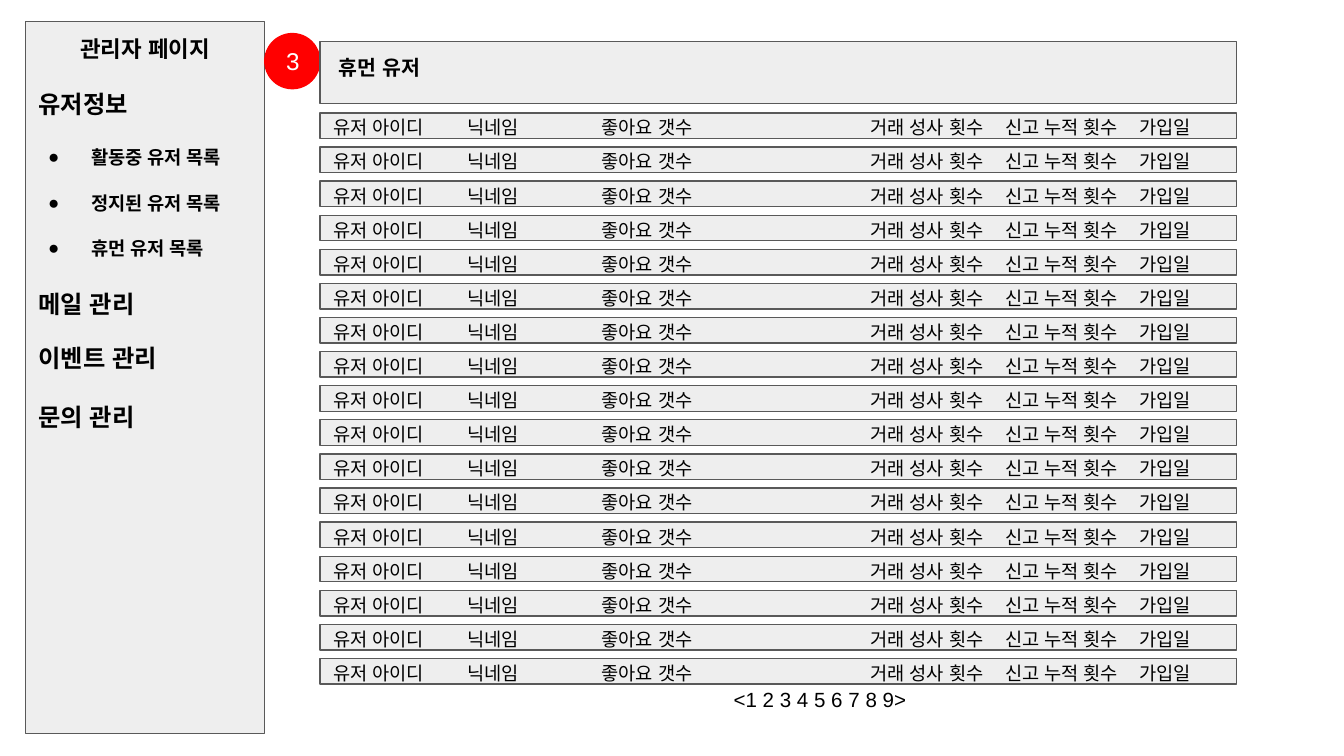
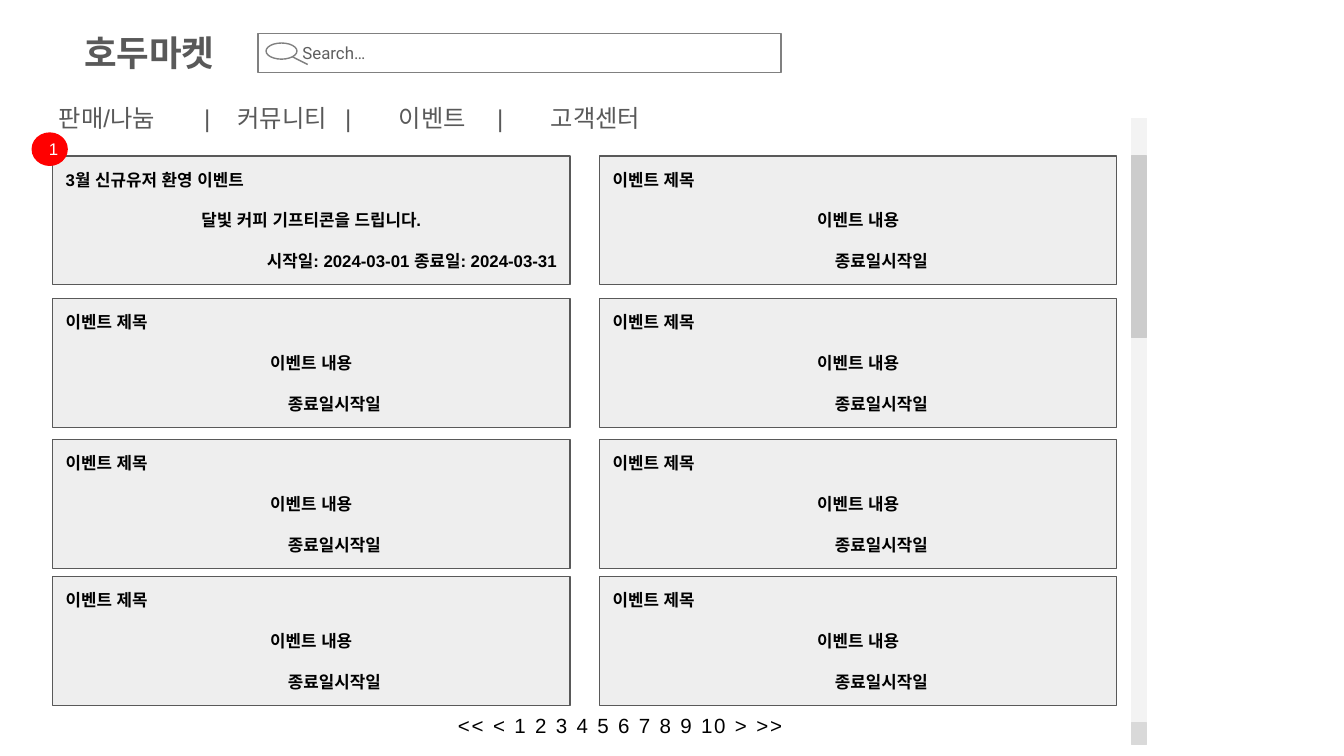
from dataclasses import dataclass

from lxml.etree import SubElement
from pptx import Presentation
from pptx.dml.color import RGBColor
from pptx.enum.shapes import MSO_CONNECTOR as Connector, MSO_SHAPE as Shape
from pptx.enum.text import MSO_ANCHOR as Anchor, PP_ALIGN as Align
from pptx.oxml.ns import qn
from pptx.util import Inches, Pt


@dataclass(frozen=True)
class Theme:
    ink: str = "000000"
    grey: str = "595959"
    panel: str = "EEEEEE"
    paper: str = "FFFFFF"
    badge: str = "FF0000"
    outline: str = "808080"
    hint: str = "5F5F5F"
    track: str = "F3F3F3"
    thumb: str = "CCCCCC"
    arrow: str = "D9D9D9"
    font: str = "Arial"
    search_font: str = "Roboto"
    brand: float = 19
    menu: float = 13
    title: float = 12
    heading: float = 11
    row: float = 10
    card: float = 9
    blank_line: float = 1.23  # height of a skipped line, in type sizes


THEME = Theme()
WIDTH = 10
HEIGHT = WIDTH * 9 / 16

# Content: admin page
# Each sidebar entry: text, size, size of the skipped line above it, kind
SIDEBAR = [
    ("관리자 페이지", THEME.title, 0, "title"),
    ("유저정보", THEME.menu, 12, "menu"),
    ("활동중 유저 목록", THEME.row, 12, "item"),
    ("정지된 유저 목록", THEME.row, 10, "item"),
    ("휴먼 유저 목록", THEME.row, 10, "item"),
    ("메일 관리", THEME.menu, 13, "menu"),
    ("이벤트 관리", THEME.menu, 11, "menu"),
    ("문의 관리", THEME.menu, 13, "menu"),
]
USER_FIELDS = "유저 아이디\t닉네임\t좋아요 갯수\t\t거래 성사 횟수 \t신고 누적 횟수\t가입일"
USER_ROWS = 17
USER_PAGES = "<1 2 3 4 5 6 7 8 9>"

# Content: event page
BRAND = "호두마켓"
NAVIGATION = ["판매/나눔", "|", "커뮤니티", "|", "이벤트", "|", "고객센터"]
NAVIGATION_STOPS = [1.08, 1.33, 2.13, 2.53, 3.26, 3.66]
EVENT = ("이벤트 제목", "이벤트 내용", "시작일 \t\t종료일")
WELCOME = ("3월 신규유저 환영 이벤트", "달빛 커피 기프티콘을 드립니다.",
           "시작일: 2024-03-01 종료일: 2024-03-31")
EVENT_PAGES = "<< < 1 2 3 4 5 6 7 8 9 10 > >>"
SCROLLBAR = [(0.88, 4.62, THEME.track), (5.38, 0.16, THEME.arrow),
             (1.16, 1.35, THEME.thumb)]

# Layout, in inches
LIST_LEFT, LIST_WIDTH = 2.38, 6.82
ROW_TOP, ROW_PITCH, ROW_HEIGHT = 0.84, 4.06 / 16, 0.19
CARD_LEFTS, CARD_TOPS = (0.39, 4.46), (1.16, 2.22, 3.27, 4.29)
CARD_WIDTH, CARD_HEIGHT = 3.85, 0.96
TAB_WIDTH = 1


def colour(value):
    return RGBColor.from_string(value)


def write(frame, text, *, size, first=False, color=THEME.ink, bold=False,
          font=THEME.font, align=Align.LEFT, blank=0, line=None, margin=0,
          hanging=0, bullet=None, stops=(), tracking=0):
    """Add one formatted paragraph to a text frame."""
    paragraph = frame.paragraphs[0] if first else frame.add_paragraph()
    paragraph.alignment = align
    paragraph.space_before = Pt(blank * THEME.blank_line)
    if line:
        paragraph.line_spacing = line
    run = paragraph.add_run()
    run.text = text
    run.font.size, run.font.bold, run.font.name = Pt(size), bold, font
    run.font.color.rgb = colour(color)
    character = run._r.get_or_add_rPr()
    for script in ("a:ea", "a:cs"):
        SubElement(character, qn(script), typeface=font)
    if tracking:
        character.set("spc", str(tracking))
    layout = paragraph._p.get_or_add_pPr()
    layout.set("defTabSz", str(Inches(TAB_WIDTH)))
    if margin:
        layout.set("marL", str(Inches(margin)))
        layout.set("indent", str(Inches(hanging)))
    if bullet:
        tint = SubElement(layout, qn("a:buClr"))
        SubElement(tint, qn("a:srgbClr"), val=color)
        SubElement(layout, qn("a:buSzPts"), val=str(size * 100))
        SubElement(layout, qn("a:buFont"), typeface=font)
        SubElement(layout, qn("a:buChar"), char=bullet)
    if stops:
        tabs = SubElement(layout, qn("a:tabLst"))
        for stop in stops:
            SubElement(tabs, qn("a:tab"), pos=str(Inches(stop)), algn="l")


def prepare(frame, anchor, insets):
    frame.word_wrap = True
    frame.vertical_anchor = anchor
    (frame.margin_left, frame.margin_top,
     frame.margin_right, frame.margin_bottom) = map(Inches, insets)
    return frame


def box(shapes, place, *, kind=Shape.RECTANGLE, fill=THEME.panel,
        line=THEME.grey, anchor=Anchor.TOP, insets=(0.1,) * 4):
    """Add a filled shape and return its text frame."""
    shape = shapes.add_shape(kind, *map(Inches, place))
    shape.shadow.inherit = False
    shape.fill.solid()
    shape.fill.fore_color.rgb = colour(fill)
    shape.line.color.rgb = colour(line)
    shape.line.width = Pt(0.75)
    return prepare(shape.text_frame, anchor, insets)


def label(shapes, place, text, *, anchor=Anchor.TOP, **form):
    area = shapes.add_textbox(*map(Inches, place))
    write(prepare(area.text_frame, anchor, (0.1,) * 4), text, first=True, **form)


def badge(shapes, place, number, **form):
    frame = box(shapes, place, kind=Shape.OVAL, fill=THEME.badge,
                line=THEME.badge, anchor=Anchor.MIDDLE)
    write(frame, number, first=True, color=THEME.paper, **form)


def build_admin(shapes):
    # Sidebar
    sidebar = box(shapes, (0.19, 0.16, 1.78, 5.3))
    kinds = {"title": {"align": Align.CENTER}, "menu": {},
             "item": {"margin": 0.39, "hanging": -0.32, "bullet": "●"}}
    for index, (text, size, blank, kind) in enumerate(SIDEBAR):
        write(sidebar, text, first=index == 0, size=size, blank=blank,
              bold=True, **kinds[kind])

    # List heading and page numbers
    badge(shapes, (1.97, 0.25, 0.41, 0.41), "3", size=THEME.menu,
          align=Align.CENTER)
    heading = box(shapes, (LIST_LEFT, 0.31, LIST_WIDTH, 0.46))
    write(heading, "휴먼 유저", first=True, size=THEME.heading, bold=True,
          margin=0.04)
    label(shapes, (4.36, 4.82, 2.64, 0.57), USER_PAGES, size=THEME.heading,
          anchor=Anchor.BOTTOM, margin=1)

    # User rows
    for index in range(USER_ROWS):
        top = ROW_TOP + index * ROW_PITCH
        row = box(shapes, (LIST_LEFT, top, LIST_WIDTH, ROW_HEIGHT),
                  anchor=Anchor.MIDDLE)
        write(row, USER_FIELDS, first=True, size=THEME.row, line=1.15)


def event_card(shapes, left, top, event):
    title, body, dates = event
    card = box(shapes, (left, top, CARD_WIDTH, CARD_HEIGHT))
    form = {"size": THEME.card, "bold": True}
    dates_form = {"align": Align.RIGHT} if event is WELCOME else {"margin": 2}
    write(card, title, first=True, **form)
    write(card, body, align=Align.CENTER, blank=THEME.card, **form)
    write(card, dates, blank=THEME.card, **dates_form, **form)


def site_header(shapes):
    label(shapes, (0.34, 0.67, 5.89, 0.33), "\t".join(NAVIGATION),
          size=THEME.menu, color=THEME.grey, stops=NAVIGATION_STOPS)
    label(shapes, (0.26, 0.13, 1.7, 0.52), BRAND, size=THEME.brand,
          color=THEME.grey, bold=True, align=Align.CENTER)
    search = box(shapes, (1.92, 0.25, 3.89, 0.29), fill=THEME.paper,
                 line=THEME.outline, anchor=Anchor.MIDDLE,
                 insets=(0.3, 0.06, 0.1, 0.06))
    write(search, "Search…", first=True, size=THEME.card, color=THEME.hint,
          font=THEME.search_font, margin=0.03)

    # Magnifier: handle and lens
    handle = shapes.add_connector(Connector.STRAIGHT,
                                  *map(Inches, (2.17, 0.42, 2.29, 0.48)))
    handle.line.color.rgb = colour(THEME.outline)
    handle.line.width = Pt(0.75)
    SubElement(handle._element.spPr, qn("a:effectLst"))
    box(shapes, (1.98, 0.32, 0.23, 0.12), kind=Shape.OVAL, fill=THEME.paper,
        line=THEME.outline)


def build_events(shapes):
    # Page numbers and scroll bar
    label(shapes, (3.24, 5.25, 2.75, 0.29), EVENT_PAGES, size=THEME.heading,
          anchor=Anchor.MIDDLE, align=Align.CENTER, tracking=95)
    for top, height, tint in SCROLLBAR:
        box(shapes, (8.42, top, 0.11, height), fill=tint, line=tint)

    # Event cards
    for top in CARD_TOPS:
        for left in CARD_LEFTS:
            is_first = (left, top) == (CARD_LEFTS[0], CARD_TOPS[0])
            event_card(shapes, left, top, WELCOME if is_first else EVENT)

    badge(shapes, (0.24, 0.99, 0.26, 0.24), "1", size=THEME.card)
    site_header(shapes.add_group_shape().shapes)


def main():
    deck = Presentation()
    deck.slide_width, deck.slide_height = Inches(WIDTH), Inches(HEIGHT)
    for build in (build_admin, build_events):
        build(deck.slides.add_slide(deck.slide_layouts[6]).shapes)
    deck.save("out.pptx")


if __name__ == "__main__":
    main()
